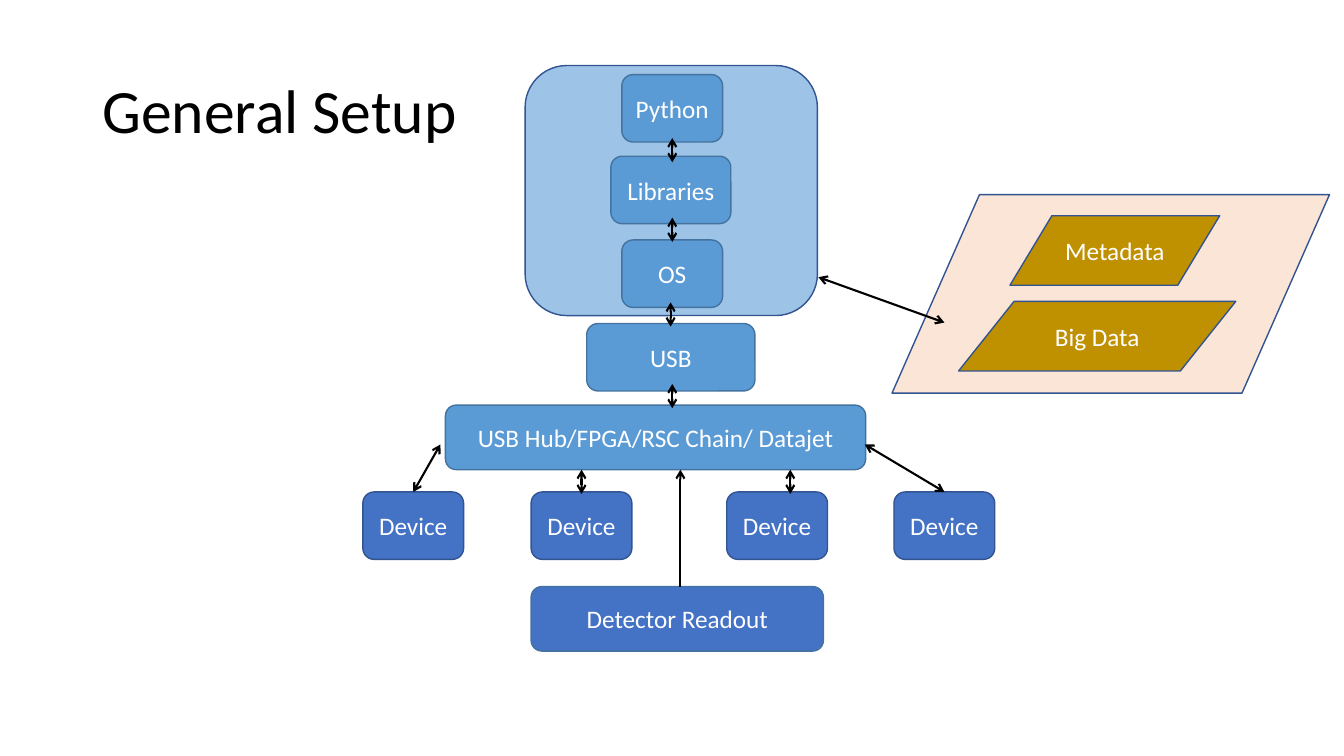
import pptx
import pptx.util
import pptx.dml.color
import pptx.enum.shapes
import pptx.enum.text
import pptx.oxml
import pptx.oxml.ns

Pt = pptx.util.Pt
Kind = pptx.enum.shapes.MSO_SHAPE
Text = pptx.enum.text
Box = Kind.FLOWCHART_ALTERNATE_PROCESS
Slant = Kind.FLOWCHART_DATA

theme = {
    "font": "Calibri", "title": 44, "label": 18,
    "host": "9DC3E6", "soft": "5B9BD5", "unit": "4472C4",
    "pane": "FBE5D6", "store": "BF9000",
    "navy": "325491", "steel": "43739E", "ink": "000000", "white": "FFFFFF",
}

title = "General Setup"
stack = [
    ("Python", 480.2, 53.3, 72),
    ("Libraries", 479.2, 111.6, 85.7),
    ("OS", 480.2, 171.4, 72),
    ("USB", 479.2, 231.1, 120.2),
]
hub = ("USB Hub/FPGA/RSC Chain/ Datajet", 468.3, 289.4, 300.2)
readout = ("Detector Readout", 483.8, 419, 208.8)
devices = [295.2, 415.4, 555.1, 674.6]
stores = [("Metadata", 721.4, 154.1, 149.8), ("Big Data", 684.7, 215.3, 198)]
steps = [(480.2, 98.6), (480.2, 155.5), (479, 216), (480.2, 274.3)]
tall, low, gap = 48.2, 46.1, 17.3
row = 351.4
foot = hub[2] + low
port = 317.5

deck = pptx.Presentation()
deck.slide_width, deck.slide_height = Pt(960), Pt(540)
slide = deck.slides.add_slide(deck.slide_layouts[5])


def color(name):
    return pptx.dml.color.RGBColor.from_string(theme[name])


def apply(item, values):
    for key, value in values.items():
        setattr(item, key, value)


def write(frame, text, size, ink, align):
    apply(frame, {"text": text, "word_wrap": True,
                  "vertical_anchor": Text.MSO_ANCHOR.MIDDLE})
    line = frame.paragraphs[0]
    line.alignment = align
    font = line.runs[0].font
    apply(font, {"name": theme["font"], "size": Pt(theme[size])})
    font.color.rgb = color(ink)
    return line


def block(kind, left, top, wide, high, fill, edge, text=""):
    shape = slide.shapes.add_shape(kind, Pt(left), Pt(top), Pt(wide), Pt(high))
    shape.shadow.inherit = False
    shape.fill.solid()
    shape.fill.fore_color.rgb = color(fill)
    shape.line.color.rgb = color(edge)
    shape.line.width = Pt(1)
    if text:
        write(shape.text_frame, text, "label", "white", Text.PP_ALIGN.CENTER)


def node(text, mid, top, wide, high, fill, edge):
    block(Box, mid - wide / 2, top, wide, high, fill, edge, text)


def arrow(start, end, ends=("headEnd", "tailEnd")):
    link = slide.shapes.add_connector(
        pptx.enum.shapes.MSO_CONNECTOR.STRAIGHT, *map(Pt, start + end))
    link.line.color.rgb = color("ink")
    link.line.width = Pt(1.5)
    for tag in ends:
        tip = pptx.oxml.parse_xml(
            f'<a:{tag} {pptx.oxml.ns.nsdecls("a")} type="arrow"/>')
        link.line._get_or_add_ln().append(tip)
    link._element.spPr.append(pptx.oxml.parse_xml(
        f'<a:effectLst {pptx.oxml.ns.nsdecls("a")}/>'))


head = slide.shapes.title
apply(head, {"left": Pt(66), "top": Pt(28.8), "width": Pt(828), "height": Pt(104.4)})
line = write(head.text_frame, title, "title", "ink", Text.PP_ALIGN.LEFT)
line.line_spacing = 0.9
head.text_frame.auto_size = Text.MSO_AUTO_SIZE.NONE

block(Box, 375.1, 46.8, 208.8, 178.6, "host", "navy")
for item in stack:
    node(*item, tall, "soft", "steel")
node(*hub, low, "soft", "steel")
for mid in devices:
    node("Device", mid, row, 72, tall, "unit", "navy")
node(*readout, low, "unit", "steel")

for mid, top in steps:
    arrow((mid, top), (mid, top + gap))
arrow((314.6, port), (devices[0], row))
arrow((617.8, port), (devices[3], row))
for mid in (devices[1], 564.5):
    arrow((mid, foot), (mid, foot + gap))
arrow((486, readout[2]), (486, foot), ("tailEnd",))

block(Slant, 637.2, 139, 312.5, 141.8, "pane", "navy")
arrow((584.6, 198), (674.6, 230.4))
for text, left, top, wide in stores:
    block(Slant, left, top, wide, 49.7, "store", "navy", text)

deck.save("out.pptx")
